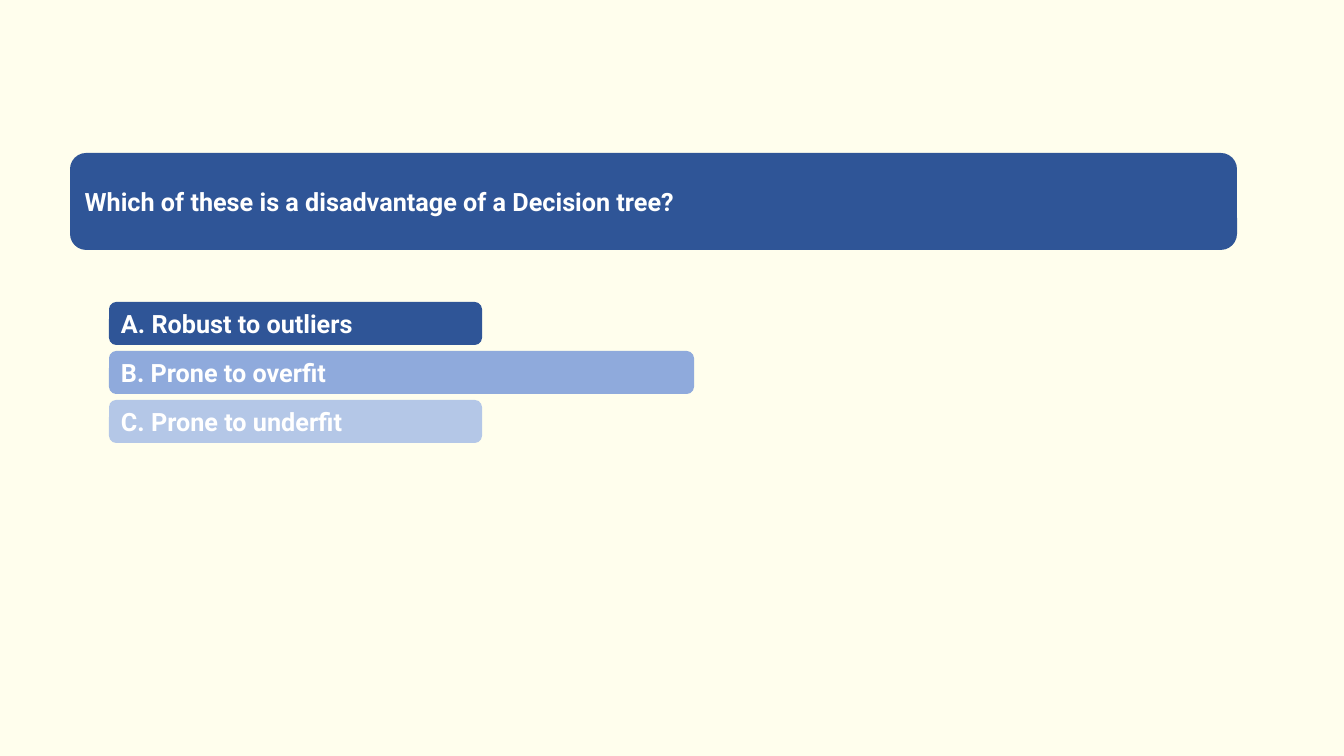
from dataclasses import dataclass

from pptx import Presentation
from pptx.dml.color import RGBColor
from pptx.enum.shapes import MSO_SHAPE
from pptx.enum.text import MSO_ANCHOR, PP_ALIGN
from pptx.slide import Slide
from pptx.util import Emu, Pt

SLIDE_WIDTH, SLIDE_HEIGHT = 1344, 756
EMU_PER_PX = 12192000 / SLIDE_WIDTH

CREAM = RGBColor(0xFF, 0xFE, 0xED)
WHITE = RGBColor(0xFF, 0xFF, 0xFF)
DARK_BLUE = RGBColor(0x2F, 0x55, 0x97)
MEDIUM_BLUE = RGBColor(0x8F, 0xAA, 0xDC)
LIGHT_BLUE = RGBColor(0xB4, 0xC7, 0xE7)

ANSWER_LEFT, ANSWER_TOP = 109, 302
ANSWER_HEIGHT, ANSWER_PITCH = 43, 49


@dataclass(frozen=True)
class Bar:
    text: str
    left: int
    top: int
    width: int
    height: int
    fill: RGBColor


QUESTION = Bar("Which of these is a disadvantage of a Decision tree?",
               70, 153, 1167, 97, DARK_BLUE)
ANSWERS = [
    Bar(text, ANSWER_LEFT, ANSWER_TOP + index * ANSWER_PITCH, width, ANSWER_HEIGHT, fill)
    for index, (text, width, fill) in enumerate([
        ("A. Robust to outliers", 373, DARK_BLUE),
        ("B. Prone to overfit", 585, MEDIUM_BLUE),
        ("C. Prone to underfit", 373, LIGHT_BLUE),
    ])
]


def px(length: int) -> Emu:
    """Convert pixels to EMU."""
    return Emu(round(length * EMU_PER_PX))


def draw_bar(slide: Slide, bar: Bar) -> None:
    """Draw a rounded bar with bold white text at its left."""
    shape = slide.shapes.add_shape(
        MSO_SHAPE.ROUNDED_RECTANGLE,
        px(bar.left), px(bar.top), px(bar.width), px(bar.height))
    shape.shadow.inherit = False
    shape.fill.solid()
    shape.fill.fore_color.rgb = bar.fill
    shape.line.fill.background()
    text_frame = shape.text_frame
    text_frame.word_wrap = True
    text_frame.vertical_anchor = MSO_ANCHOR.MIDDLE
    paragraph = text_frame.paragraphs[0]
    paragraph.alignment = PP_ALIGN.LEFT
    run = paragraph.add_run()
    run.text = bar.text
    run.font.name = "Roboto"
    run.font.size = Pt(18)
    run.font.bold = True
    run.font.color.rgb = WHITE


def main() -> None:
    """Build the quiz slide and save it."""
    presentation = Presentation()
    presentation.slide_width = px(SLIDE_WIDTH)
    presentation.slide_height = px(SLIDE_HEIGHT)
    slide = presentation.slides.add_slide(presentation.slide_layouts[6])
    slide.background.fill.solid()
    slide.background.fill.fore_color.rgb = CREAM
    for bar in [QUESTION, *ANSWERS]:
        draw_bar(slide, bar)
    presentation.save("out.pptx")


if __name__ == "__main__":
    main()
